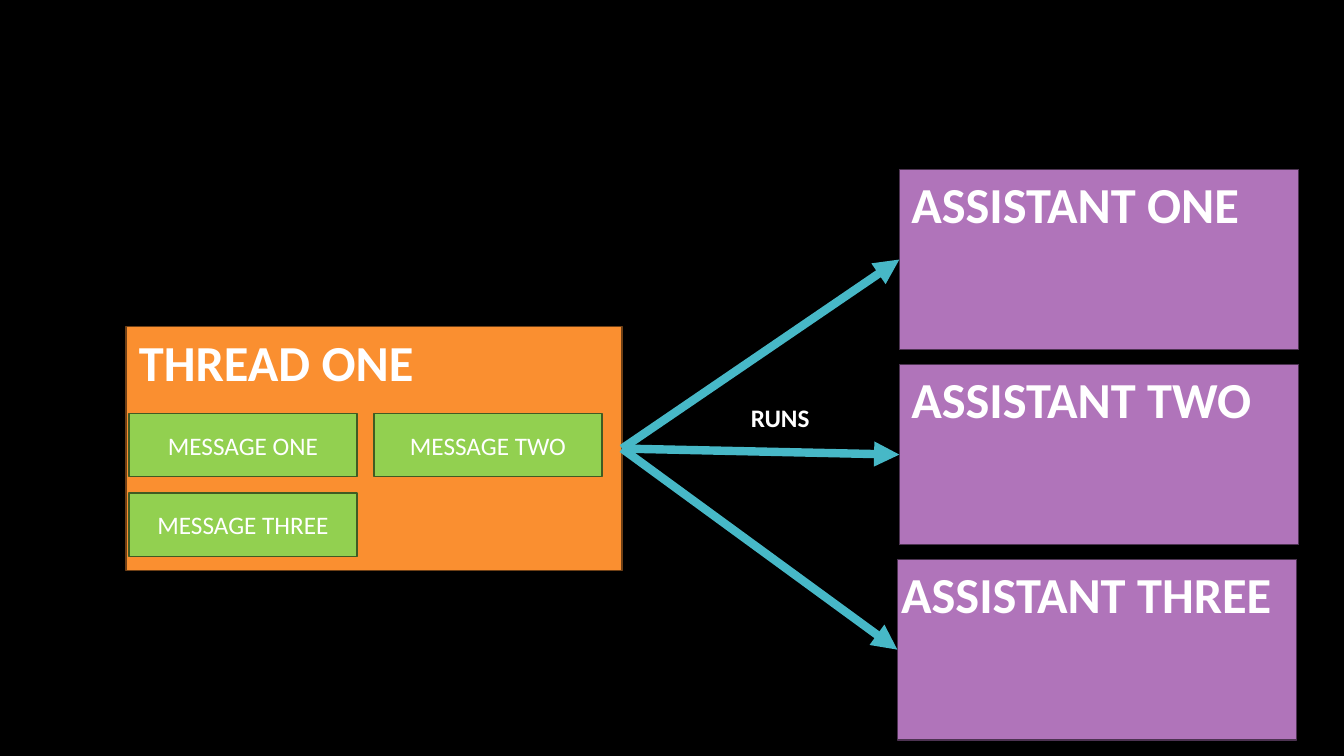
from lxml import etree
from pptx import Presentation
from pptx.dml.color import RGBColor
from pptx.enum.shapes import MSO_CONNECTOR as Link, MSO_SHAPE as Shape
from pptx.enum.text import MSO_ANCHOR as Anchor, MSO_AUTO_SIZE as Fit, PP_ALIGN as Align
from pptx.oxml.ns import qn
from pptx.util import Inches, Pt

deck = Presentation()
deck.slide_width, deck.slide_height = Inches(13.33), Inches(7.5)
slide = deck.slides.add_slide(deck.slide_layouts[6])
rgb = RGBColor.from_string

# Black background
slide.background.fill.solid()
slide.background.fill.fore_color.rgb = rgb("000000")


def write(text, x, y, w, h, size=36, bold=True, box=None):
    """Put text in the given box, or in a new text box that fits it."""
    if box is None:
        box = slide.shapes.add_textbox(Inches(x), Inches(y), Inches(w), Inches(h))
        box.text_frame.word_wrap = False
        box.text_frame.auto_size = Fit.SHAPE_TO_FIT_TEXT
    run = box.text_frame.paragraphs[0].add_run()
    run.text = text
    run.font.name, run.font.size, run.font.bold = "Calibri", Pt(size), bold
    run.font.color.rgb = rgb("FFFFFF")


def block(x, y, w, h, fill, edge):
    """Draw a flat rectangle with a thin edge."""
    box = slide.shapes.add_shape(Shape.RECTANGLE, Inches(x), Inches(y), Inches(w), Inches(h))
    box.shadow.inherit = False
    box.fill.solid()
    box.fill.fore_color.rgb = rgb(fill)
    box.line.color.rgb = rgb(edge)
    box.line.width = Pt(1)
    return box


# Assistants: left edge, title left, title width
helpers = [
    ("ASSISTANT ONE", 8.92, 8.94, 3.57),
    ("ASSISTANT TWO", 8.92, 8.94, 3.69),
    ("ASSISTANT THREE", 8.9, 8.84, 4.03),
]
top, step, tall = 1.68, 1.935, 1.79
for i, (name, x, left, wide) in enumerate(helpers):
    y = top + i * step
    block(x, y, 3.96, tall, "B074BA", "4D3352")
    write(name, left, y - 0.01, wide, 0.63)

# Thread
block(1.25, 3.24, 4.92, 2.42, "FA8F30", "6E3F15")
write("THREAD ONE", 1.28, 3.24, 2.97, 0.63)

# Messages, two to a row
for i, word in enumerate(["ONE", "TWO", "THREE"]):
    row, col = divmod(i, 2)
    spot = (1.28 + col * 2.43, 4.1 + row * 0.79, 2.26, 0.63)
    box = block(*spot, "92D050", "405B23")
    box.text_frame.vertical_anchor = Anchor.MIDDLE
    box.text_frame.paragraphs[0].alignment = Align.CENTER
    write(f"MESSAGE {word}", *spot, size=18, bold=False, box=box)

# Runs: arrows from the thread to the middle of each assistant
for i, (name, x, left, wide) in enumerate(helpers):
    end = top + i * step + tall / 2
    arrow = slide.shapes.add_connector(
        Link.STRAIGHT, Inches(6.17), Inches(4.45), Inches(x), Inches(end))
    arrow.line.color.rgb = rgb("47B8C7")
    arrow.line.width = Pt(6)
    etree.SubElement(arrow.line._get_or_add_ln(), qn("a:tailEnd"), type="triangle")
    etree.SubElement(arrow._element.spPr, qn("a:effectLst"))
write("RUNS", 7.35, 3.94, 0.8, 0.36, size=18)

deck.save("out.pptx")
